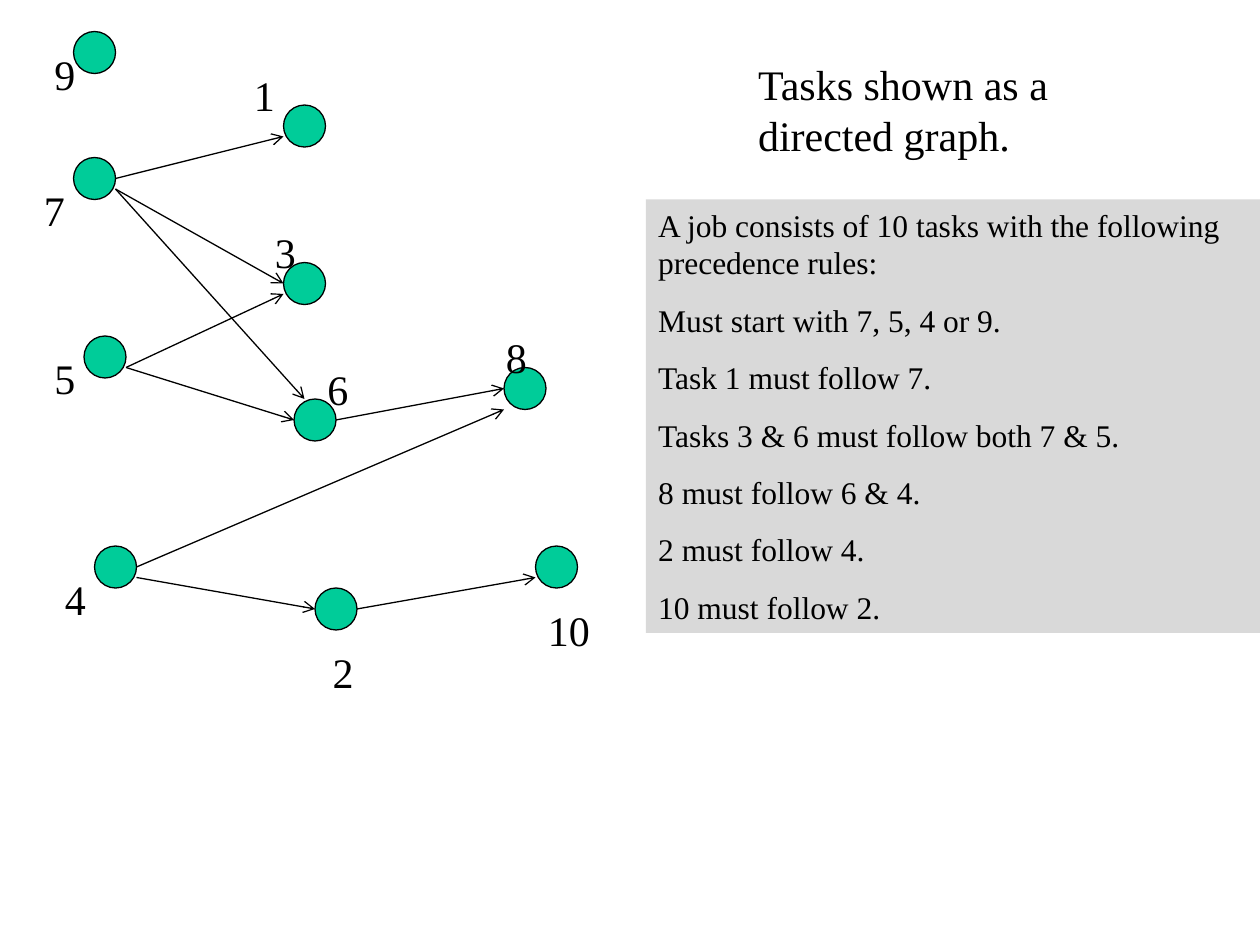
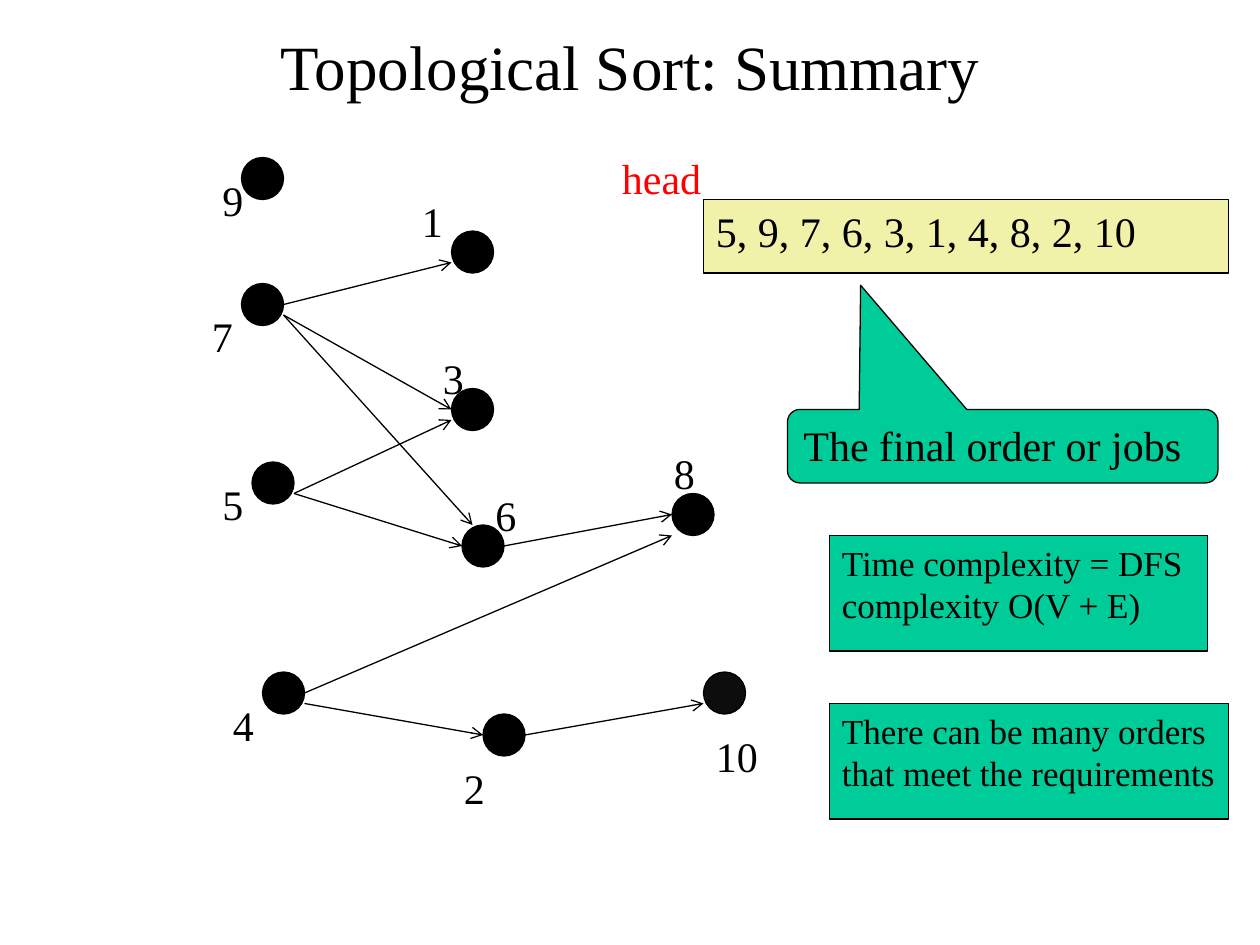
from pptx import Presentation
from pptx.dml.color import RGBColor
from pptx.enum.shapes import MSO_CONNECTOR, MSO_SHAPE
from pptx.enum.text import MSO_ANCHOR, MSO_AUTO_SIZE, PP_ALIGN
from pptx.oxml.ns import qn
from pptx.util import Pt
from lxml import etree

STRAIGHT = MSO_CONNECTOR.STRAIGHT
OVAL, RECT = MSO_SHAPE.OVAL, MSO_SHAPE.RECTANGLE
CALLOUT = MSO_SHAPE.ROUNDED_RECTANGULAR_CALLOUT
TOP = MSO_ANCHOR.TOP
NO_AUTOSIZE = MSO_AUTO_SIZE.NONE
LEFT, CENTER = PP_ALIGN.LEFT, PP_ALIGN.CENTER

BLACK = RGBColor(0x00, 0x00, 0x00)
NEAR_BLACK = RGBColor(0x0D, 0x0D, 0x0D)
GREEN = RGBColor(0x00, 0xCC, 0x99)
GREY = RGBColor(0xD9, 0xD9, 0xD9)
YELLOW = RGBColor(0xF1, 0xF2, 0xA9)
RED = RGBColor(0xFF, 0x00, 0x00)
FONT = "Times New Roman"
LINE_WIDTH = Pt(0.75)
NODE_SIZE = 24
LABEL_HEIGHT = 36

TASKS = {
    "7": (42, 90), "5": (48, 192), "4": (54, 312), "9": (42, 18), "8": (288, 210),
    "6": (168, 228), "10": (306, 312), "2": (180, 336), "1": (162, 60), "3": (162, 150),
}
# task, follower, drop at the start, inset and drop at the end
PRECEDENCE = [
    ("7", "1", 12, 0, 18), ("7", "3", 18, 0, 12), ("7", "6", 18, 6, 0),
    ("5", "3", 18, 0, 18), ("5", "6", 18, 0, 12), ("6", "8", 12, 0, 12),
    ("4", "8", 12, 0, 24), ("4", "2", 18, 0, 12), ("2", "10", 12, 0, 18),
]
LABELS = {
    "9": (24, 24, 24), "1": (138, 36, 30), "7": (18, 102, 24), "3": (150, 126, 30),
    "5": (24, 198, 30), "4": (30, 324, 24), "6": (180, 204, 24), "10": (306, 342, 48),
}
RULES = """A job consists of 10 tasks with the following precedence rules:
Must start with 7, 5, 4 or 9.
Task 1 must follow 7.
Tasks 3 & 6 must follow both 7 & 5.
8 must follow 6 & 4.
2 must follow 4.
10 must follow 2."""


def write(shape, text, size=24, color=BLACK, align=LEFT, before=0, wrap=True):
    frame = shape.text_frame
    frame.text = text
    frame.word_wrap = wrap
    frame.auto_size = NO_AUTOSIZE
    frame.vertical_anchor = TOP
    for paragraph in frame.paragraphs:
        paragraph.alignment = align
        paragraph.space_before = Pt(before)
        paragraph.font.name = FONT
        paragraph.font.size = Pt(size)
        paragraph.font.color.rgb = color


def add_filled(slide, kind, bounds, fill, outlined=True):
    shape = slide.shapes.add_shape(kind, *map(Pt, bounds))
    shape.shadow.inherit = False
    shape.fill.solid()
    shape.fill.fore_color.rgb = fill
    if outlined:
        shape.line.color.rgb = BLACK
        shape.line.width = LINE_WIDTH
    else:
        shape.line.fill.background()
    return shape


prs = Presentation()
prs.slide_width, prs.slide_height = Pt(720), Pt(540)
title_only = prs.slide_layouts[5]
tasks_slide = prs.slides.add_slide(title_only)
summary_slide = prs.slides.add_slide(title_only)

titles = [
    (tasks_slide, "Tasks shown as a directed graph.", (426, 30, 228, 65), 24, LEFT, 15),
    (summary_slide, "Topological Sort: Summary", (24, 12, 672, 50.4), 36, CENTER, 22.5),
]
for slide, text, bounds, size, align, before in titles:
    title = slide.shapes.title
    title.left, title.top, title.width, title.height = map(Pt, bounds)
    write(title, text, size=size, align=align, before=before)

graphs = [
    (tasks_slide, 0, 0, GREEN, {}, {"8": (282, 186, 36), "2": (183, 366, 36)}),
    (summary_slide, 96, 72, BLACK, {"10": NEAR_BLACK},
     {"8": (282, 180, 36), "2": (162, 360, 36)}),
]
for slide, dx, dy, node_fill, special_fills, moved_labels in graphs:
    for task, (x, y) in TASKS.items():
        add_filled(slide, OVAL, (x + dx, y + dy, NODE_SIZE, NODE_SIZE),
                   special_fills.get(task, node_fill))

    for task, follower, start_drop, end_inset, end_drop in PRECEDENCE:
        start_x, start_y = TASKS[task]
        end_x, end_y = TASKS[follower]
        arrow = slide.shapes.add_connector(
            STRAIGHT,
            Pt(start_x + NODE_SIZE + dx), Pt(start_y + start_drop + dy),
            Pt(end_x + end_inset + dx), Pt(end_y + end_drop + dy))
        arrow.line.color.rgb = BLACK
        arrow.line.width = LINE_WIDTH
        etree.SubElement(arrow.line._get_or_add_ln(), qn("a:tailEnd"), type="arrow")
        etree.SubElement(arrow._element.spPr, qn("a:effectLst"))

    for task, (x, y, width) in (LABELS | moved_labels).items():
        label = slide.shapes.add_textbox(Pt(x + dx), Pt(y + dy), Pt(width), Pt(LABEL_HEIGHT))
        write(label, task, before=15)

rules = add_filled(tasks_slide, RECT, (369, 114, 351, 247.7), GREY, outlined=False)
write(rules, RULES, size=18, before=11.2)

head = summary_slide.shapes.add_textbox(Pt(348.3), Pt(83.5), Pt(60), Pt(LABEL_HEIGHT))
write(head, "head", color=RED, wrap=False)

notes = [
    (RECT, (402, 114, 300, 42), YELLOW, "5, 9, 7, 6, 3, 1, 4, 8, 2, 10", 24),
    (CALLOUT, (450, 234, 246, 42), GREEN, "The final order or jobs", 24),
    (RECT, (474, 306, 216, 66), GREEN, "Time complexity = DFS complexity O(V + E)", 20),
    (RECT, (474, 402, 228, 66), GREEN,
     "There can be many orders that meet the requirements", 20),
]
for kind, bounds, fill, text, size in notes:
    note = add_filled(summary_slide, kind, bounds, fill)
    write(note, text, size=size)
    if kind == CALLOUT:
        note.adjustments[0] = -0.33
        note.adjustments[1] = -2.19
        note.adjustments[2] = 0.17

prs.save("out.pptx")
